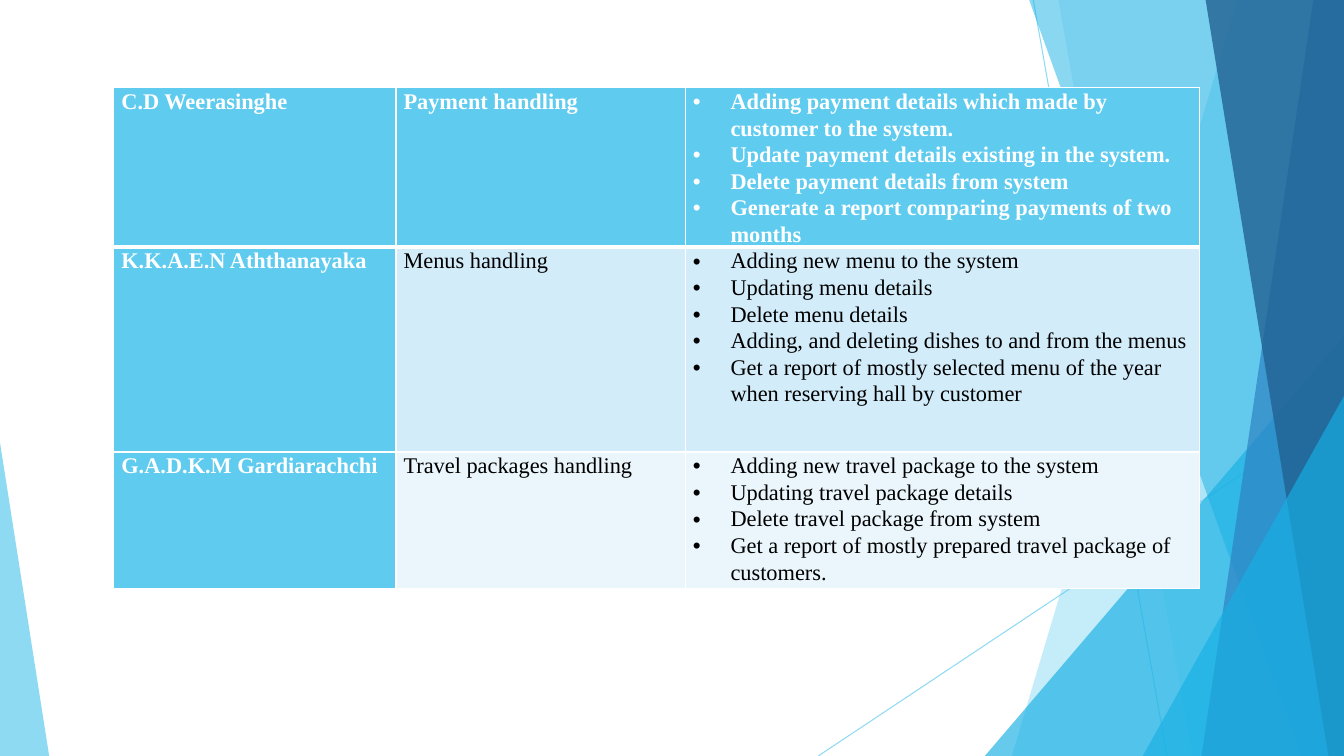
from lxml import etree
from pptx import Presentation
from pptx.dml.color import RGBColor
from pptx.enum import shapes
from pptx.oxml import ns
from pptx.util import Cm, Pt

COLORS = {
    "sky": "5FCBEF",
    "cyan": "17B0E4",
    "blue": "2E83C3",
    "navy": "226292",
    "band_dark": "D2ECF9",
    "band_light": "EAF6FC",
    "white": "FFFFFF",
    "black": "000000",
}
WIDTH, HEIGHT = 33.87, 19.05
FACET_TOP = -0.02
CELL_FORMAT = {
    "margin_left": Cm(0.19),
    "margin_right": Cm(0.19),
    "margin_top": 0,
    "margin_bottom": 0,
}
FONT_FORMAT = {"name": "Times New Roman", "size": Pt(16)}
COLUMN_WIDTHS = [7.11, 7.29, 12.95]
ROW_HEIGHTS = [4.01, 5.16, 3.43]
ROW_FILLS = ["sky", "band_dark", "band_light"]
MEMBERS = [
    ("C.D Weerasinghe", "Payment handling", [
        "Adding payment details which made by customer to the system.",
        "Update payment details existing in the system.",
        "Delete payment details from system",
        "Generate a report comparing payments of two months",
    ]),
    ("K.K.A.E.N Aththanayaka", "Menus handling", [
        "Adding new menu to the system",
        "Updating menu details",
        "Delete menu details",
        "Adding, and deleting dishes to and from the menus",
        "Get a report of mostly selected menu of the year when reserving hall by customer",
    ]),
    ("G.A.D.K.M Gardiarachchi", "Travel packages handling", [
        "Adding new travel package to the system",
        "Updating travel package details",
        "Delete travel package from system",
        "Get a report of mostly prepared travel package of customers.",
    ]),
]


def rgb(color):
    return RGBColor.from_string(COLORS[color])


def set_format(target, values):
    for key, value in values.items():
        setattr(target, key, value)


def add_child(parent, tag, **attributes):
    return etree.SubElement(parent, ns.qn(tag), attributes)


def set_opacity(element, percent):
    for color in element.iter(ns.qn("a:srgbClr")):
        add_child(color, "a:alpha", val=str(percent * 1000))


def paint(shape, color, opacity):
    shape.shadow.inherit = False
    shape.fill.solid()
    shape.fill.fore_color.rgb = rgb(color)
    shape.line.fill.background()
    set_opacity(shape._element.spPr, opacity)


def add_ray(slide, start, end):
    ray = slide.shapes.add_connector(
        shapes.MSO_CONNECTOR.STRAIGHT, *map(Cm, start + end))
    ray.line.color.rgb = rgb("sky")
    ray.line.width = Pt(0.75)
    set_opacity(ray._element.spPr, 70)
    add_child(ray._element.spPr, "a:effectLst")


def add_facet(slide, top_x, bottom_x, color, opacity):
    outline = slide.shapes.build_freeform(Cm(top_x), Cm(FACET_TOP))
    corners = [(WIDTH, FACET_TOP), (WIDTH, HEIGHT), (bottom_x, HEIGHT)]
    outline.add_line_segments([(Cm(x), Cm(y)) for x, y in corners])
    paint(outline.convert_to_shape(), color, opacity)


def add_triangle(slide, left, top, width, apex, color, opacity):
    triangle = slide.shapes.add_shape(
        shapes.MSO_SHAPE.ISOSCELES_TRIANGLE,
        Cm(left), Cm(top), Cm(width), Cm(HEIGHT - top))
    triangle.adjustments[0] = apex
    paint(triangle, color, opacity)


def set_borders(cell, widths):
    properties = cell._tc.get_or_add_tcPr()
    for side, width in widths.items():
        border = add_child(properties, f"a:ln{side}", w=str(Pt(width)))
        fill = add_child(border, "a:solidFill")
        add_child(fill, "a:srgbClr", val=COLORS["white"])


def add_bullet(paragraph):
    properties = paragraph._p.get_or_add_pPr()
    properties.set("marL", str(Cm(0.95)))
    properties.set("indent", str(-Cm(0.95)))
    add_child(properties, "a:buFont", typeface="Arial")
    add_child(properties, "a:buChar", char="•")


def fill_cell(cell, lines, fill, emphasis, bulleted, borders):
    set_format(cell, CELL_FORMAT)
    set_borders(cell, borders)
    cell.fill.solid()
    cell.fill.fore_color.rgb = rgb(fill)
    for index, line in enumerate(lines):
        frame = cell.text_frame
        paragraph = frame.add_paragraph() if index else frame.paragraphs[0]
        paragraph.line_spacing = 1.07
        if bulleted:
            add_bullet(paragraph)
        run = paragraph.add_run()
        run.text = line
        set_format(run.font, FONT_FORMAT | {"bold": emphasis})
        run.font.color.rgb = rgb("white" if emphasis else "black")


def add_duties(slide):
    duties = slide.shapes.add_table(
        len(MEMBERS), len(COLUMN_WIDTHS), Cm(2.87), Cm(2.21),
        Cm(sum(COLUMN_WIDTHS)), Cm(sum(ROW_HEIGHTS))).table
    for column, width in zip(duties.columns, COLUMN_WIDTHS):
        column.width = Cm(width)
    for row, height in zip(duties.rows, ROW_HEIGHTS):
        row.height = Cm(height)
    for r, (member, area, tasks) in enumerate(MEMBERS):
        borders = {"L": 1, "R": 1, "T": 3 if r == 1 else 1, "B": 3 if r == 0 else 1}
        for c, lines in enumerate([[member], [area], tasks]):
            fill = ROW_FILLS[r] if c else "sky"
            emphasis = r == 0 or c == 0
            fill_cell(duties.cell(r, c), lines, fill, emphasis, c == 2, borders)


def main():
    deck = Presentation()
    deck.slide_width, deck.slide_height = Cm(WIDTH), Cm(HEIGHT)
    slide = deck.slides.add_slide(deck.slide_layouts[6])
    add_ray(slide, (26.04, 0), (29.41, HEIGHT))
    add_ray(slide, (WIDTH, 10.24), (20.62, HEIGHT))
    add_facet(slide, 31.19, 25.5, "sky", 36)
    add_facet(slide, 26.67, 30.05, "sky", 20)
    add_triangle(slide, 24.82, 8.46, 9.05, 1, "cyan", 66)
    add_facet(slide, 25.93, 32.79, "cyan", 50)
    add_facet(slide, 33.1, 30.28, "blue", 70)
    add_facet(slide, 30.38, 33.48, "navy", 80)
    add_triangle(slide, 28.8, 9.98, 5.07, 1, "cyan", 66)
    add_triangle(slide, 0, 11.15, 1.24, 0, "sky", 70)
    add_duties(slide)
    deck.save("out.pptx")


if __name__ == "__main__":
    main()
